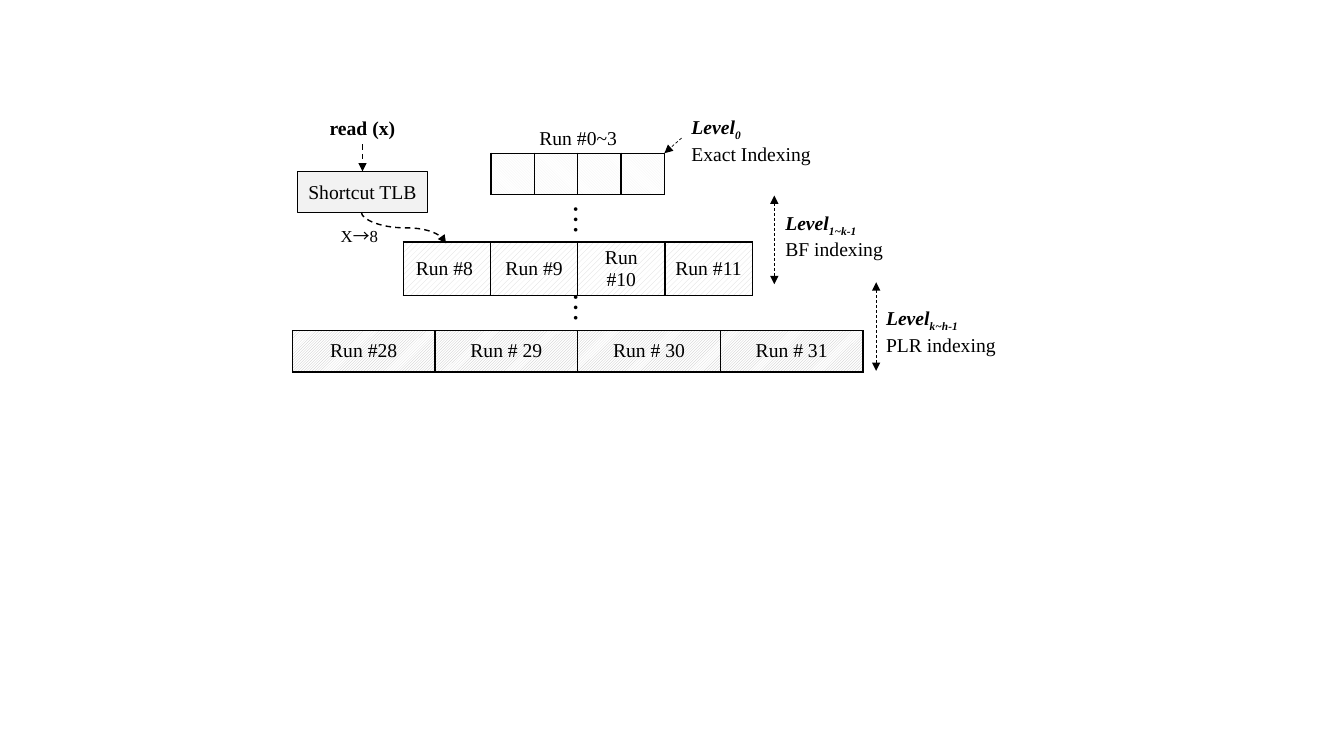
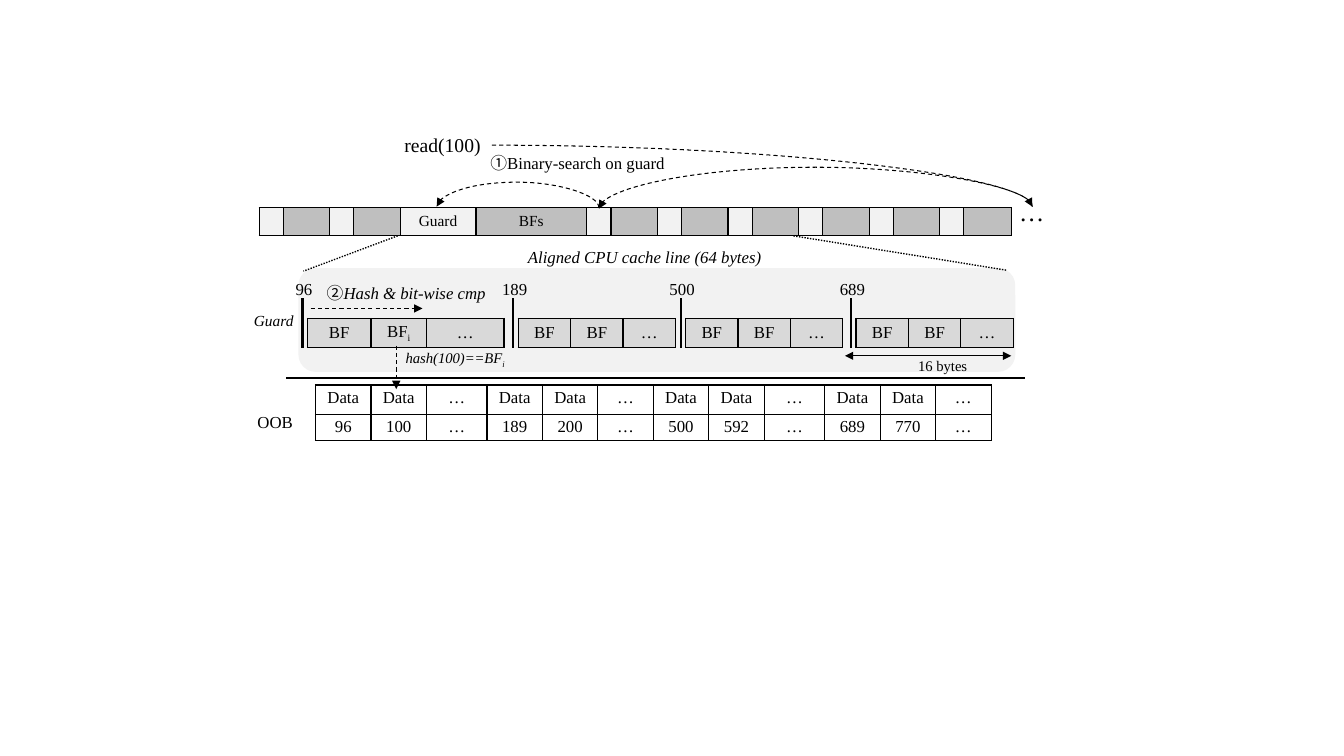
from lxml.etree import SubElement
from pptx import Presentation
from pptx.dml.color import RGBColor
from pptx.enum.dml import MSO_LINE, MSO_PATTERN
from pptx.enum.shapes import MSO_CONNECTOR, MSO_SHAPE
from pptx.enum.text import MSO_ANCHOR, MSO_AUTO_SIZE, PP_ALIGN
from pptx.oxml.ns import qn
from pptx.util import Inches, Pt

BLACK = RGBColor(0x00, 0x00, 0x00)
WHITE = RGBColor(0xFF, 0xFF, 0xFF)
PALE = RGBColor(0xF2, 0xF2, 0xF2)
LIGHT = RGBColor(0xD9, 0xD9, 0xD9)
GREY = RGBColor(0xBF, 0xBF, 0xBF)
FONT = "Times New Roman"
SYMBOL_FONT = "Noto Sans CJK KR"
CENTER, LEFT = PP_ALIGN.CENTER, PP_ALIGN.LEFT
DASH, DOT = MSO_LINE.DASH, MSO_LINE.ROUND_DOT


def lengths(*values):
    """Turn numbers of inches into lengths."""
    return [Inches(value) for value in values]


def fill_paragraph(paragraph, pieces, size, align=CENTER):
    """Write (text, flags) pieces; flags: b bold, i italic, s subscript, c symbol font."""
    paragraph.alignment = align
    for text, flags in pieces:
        run = paragraph.add_run()
        run.text = text
        font = run.font
        font.size, font.name, font.color.rgb = Pt(size), FONT, BLACK
        font.bold, font.italic = "b" in flags, "i" in flags
        properties = run._r.get_or_add_rPr()
        if "s" in flags:
            properties.set("baseline", "-25000")
        if "c" in flags:
            font.name = SYMBOL_FONT
            SubElement(properties, qn("a:ea")).set("typeface", SYMBOL_FONT)


def add_label(slide, box, lines, size, align=CENTER, rotation=0):
    """Add unwrapped text, one list of pieces for each line."""
    label = slide.shapes.add_textbox(*lengths(*box))
    label.rotation = rotation
    frame = label.text_frame
    frame.word_wrap = False
    frame.auto_size = MSO_AUTO_SIZE.SHAPE_TO_FIT_TEXT
    for index, pieces in enumerate(lines):
        paragraph = frame.add_paragraph() if index else frame.paragraphs[0]
        fill_paragraph(paragraph, pieces, size, align)


def add_block(slide, kind, box, outlined=False):
    """Add a pale shape, with a black outline if asked."""
    block = slide.shapes.add_shape(kind, *lengths(*box))
    block.shadow.inherit = False
    block.fill.solid()
    block.fill.fore_color.rgb = PALE
    if outlined:
        block.line.color.rgb, block.line.width = BLACK, Pt(1)
    else:
        block.line.fill.background()
    return block


def style_connector(connector, width, dash, head, tail):
    """Give a connector its black line and arrowheads."""
    connector.line.color.rgb, connector.line.width = BLACK, Pt(width)
    if dash:
        connector.line.dash_style = dash
    line = connector.line._get_or_add_ln()
    for tag, wanted in (("a:headEnd", head), ("a:tailEnd", tail)):
        if wanted:
            SubElement(line, qn(tag)).set("type", "triangle")
    SubElement(connector.element.spPr, qn("a:effectLst"))


def add_line(slide, start, end, width=1, dash=None, head=False, tail=False):
    """Add a straight line between two points."""
    connector = slide.shapes.add_connector(
        MSO_CONNECTOR.STRAIGHT, *lengths(*start, *end))
    style_connector(connector, width, dash, head, tail)


def add_curve(slide, box, width, preset="curvedConnector3", rotation=0, flips="", bend=None):
    """Add a dashed curved arrow from its unrotated box, turn, flips and bend."""
    left, top, across, down = box
    connector = slide.shapes.add_connector(
        MSO_CONNECTOR.CURVE, *lengths(left, top, left + across, top + down))
    properties = connector.element.spPr
    frame = properties.find(qn("a:xfrm"))
    frame.set("rot", str(rotation * 60000))
    for axis in flips:
        frame.set("flip" + axis, "1")
    geometry = properties.find(qn("a:prstGeom"))
    geometry.set("prst", preset)
    if bend is not None:
        guide = SubElement(geometry.find(qn("a:avLst")), qn("a:gd"))
        guide.set("name", "adj1")
        guide.set("fmla", f"val {round(bend * 100000)}")
    style_connector(connector, width, DASH, False, True)


def outline_cell(cell):
    """Draw black borders on the four sides of a cell."""
    properties = cell._tc.get_or_add_tcPr()
    for side in "LRTB":
        border = SubElement(properties, qn(f"a:ln{side}"), w=str(Pt(1)))
        color = SubElement(SubElement(border, qn("a:solidFill")), qn("a:srgbClr"))
        color.set("val", str(BLACK))


def add_cells(slide, left, top, widths, heights, rows, fills, size=12, pattern=None,
              anchor=MSO_ANCHOR.MIDDLE, margins=(0.1, 0.03)):
    """Add a bordered table; fills gives one colour for each column."""
    table = slide.shapes.add_table(
        len(rows), len(widths), *lengths(left, top, sum(widths), sum(heights))).table
    table.first_row = table.horz_banding = False
    for column, width in zip(table.columns, widths):
        column.width = Inches(width)
    for row, height, texts in zip(table.rows, heights, rows):
        row.height = Inches(height)
        for cell, pieces, color in zip(row.cells, texts, fills):
            side, edge = lengths(*margins)
            cell.margin_left = cell.margin_right = side
            cell.margin_top = cell.margin_bottom = edge
            cell.vertical_anchor = anchor
            outline_cell(cell)
            if pattern:
                cell.fill.patterned()
                cell.fill.pattern = pattern
                cell.fill.fore_color.rgb, cell.fill.back_color.rgb = color, WHITE
            else:
                cell.fill.solid()
                cell.fill.fore_color.rgb = color
            paragraph = cell.text_frame.paragraphs[0]
            fill_paragraph(paragraph, pieces, size)
            if not pieces:
                paragraph._p.get_or_add_endParaRPr().set("sz", str(size * 100))


def plain(*texts):
    """Make cell contents without special formatting."""
    return [[(text, "")] if text else [] for text in texts]


def draw_run_levels(slide, left, top):
    """Draw three widening rows of runs, with dots between them."""
    center = left + 2.83
    levels = [
        (0, 0.43, ("",) * 4, PALE, MSO_PATTERN.LIGHT_DOWNWARD_DIAGONAL),
        (0.88, 0.865, ("Run #8 ", "Run #9", "Run #10", "Run #11"), LIGHT,
         MSO_PATTERN.WIDE_UPWARD_DIAGONAL),
        (1.76, 1.415, ("Run #28", "Run # 29", "Run # 30", "Run # 31"), GREY,
         MSO_PATTERN.DARK_UPWARD_DIAGONAL),
    ]
    for offset, width, names, color, pattern in levels:
        add_cells(slide, center - 2 * width, top + offset, [width] * 4, [0.41],
                  [plain(*names)], [color] * 4, 14, pattern, margins=(0.1, 0.05))
    for offset in (0.43, 1.3):
        add_label(slide, (left + 2.66, top + offset, 0.51, 0.47), plain("…"), 22, LEFT, 90)
    add_label(slide, (left + 2.33, top - 0.32, 1.01, 0.34), plain("Run #0~3"), 14)


def draw_level_notes(slide, left, top):
    """Name the index of each level and mark the levels it spans."""
    notes = [(0, 0, 1.4, "0", "Exact Indexing"), (0.93, 0.95, 1.18, "1~k-1", "BF indexing"),
             (1.93, 1.9, 1.3, "k~h-1", "PLR indexing")]
    for across, down, width, levels, index in notes:
        add_label(slide, (left + across, top + down, width, 0.57),
                  [[("Level", "bi"), (levels, "bis")], [(index, "")]], 14, LEFT)
    add_line(slide, (left, top + 0.28), (left - 0.17, top + 0.43), 0.5, DASH, tail=True)
    for across, down in ((0.92, 0.85), (1.93, 1.71)):
        x, y = left + across, top + down
        add_line(slide, (x, y), (x, y + 0.88), 0.5, DASH, head=True, tail=True)


def draw_shortcut(slide, left, top):
    """Draw a read that goes through the shortcut TLB to a run."""
    width, height = 1.29, 0.41
    middle = left + width / 2
    block = add_block(slide, MSO_SHAPE.RECTANGLE, (left, top + 0.6, width, height), True)
    block.text_frame.word_wrap = False
    block.text_frame.vertical_anchor = MSO_ANCHOR.MIDDLE
    fill_paragraph(block.text_frame.paragraphs[0], [("Shortcut TLB", "")], 14)
    add_label(slide, (left, top, width, 0.34), [[("read (x)", "b")]], 14)
    add_line(slide, (middle, top + 0.33), (middle, top + 0.6), 1, DASH, tail=True)
    add_curve(slide, (left + 0.9, top + 0.74, 0.31, 0.84), 1, rotation=270, flips="H", bend=0.5)
    add_label(slide, (left + 0.33, top + 1.09, 0.58, 0.3),
              [[("X", ""), ("→", "c"), ("8", "")]], 12, LEFT)


def draw_guard_strip(slide, left, top):
    """Draw the strip of guards and Bloom filters, the third pair wide."""
    x = left
    for index in range(9):
        wide = index == 2
        widths = (0.75, 1.1) if wide else (0.23, 0.47)
        names = ("Guard", "BFs") if wide else ("", "")
        add_cells(slide, x, top, widths, [0.28], [plain(*names)], (PALE, GREY), 11)
        x += sum(widths)
    add_label(slide, (left + 7.44, top - 0.16, 0.45, 0.4), plain("…"), 18, LEFT)


def draw_search(slide, left, top):
    """Draw the read and the jumps of its binary search."""
    add_label(slide, (left, top, 0.96, 0.34), plain("read(100)"), 14)
    add_label(slide, (left + 0.82, top + 0.2, 2, 0.3),
              [[("①", "c"), ("Binary-search on guard", "")]], 12)
    add_curve(slide, (left + 4.17, top - 1.36, 0.02, 4.3), 0.75,
              rotation=270, flips="HV", bend=-19.5)
    add_curve(slide, (left + 0.97, top + 0.17, 5.36, 0.61), 0.75, "curvedConnector2")
    add_curve(slide, (left + 1.22, top - 0.02, 0.01, 1.61), 0.75,
              rotation=270, flips="V", bend=25.66)


def draw_cache_line(slide, left, top):
    """Draw the enlarged cache line with its four guarded groups."""
    add_block(slide, MSO_SHAPE.ROUNDED_RECTANGLE, (left, top, 7.11, 1.03))
    add_label(slide, (left + 2.16, top - 0.26, 2.55, 0.3),
              [[("Aligned CPU cache line (64 bytes)", "i")]], 12)
    groups = [(0.04, "96", (0.63, 0.55, 0.77)), (2.13, "189", (0.52,) * 3),
              (3.79, "500", (0.52,) * 3), (5.48, "689", (0.52,) * 3)]
    for offset, guard, widths in groups:
        x = left + offset
        filters = plain("BF", "BF", "…")
        if guard == "96":
            filters[1].append(("i", "s"))
        add_cells(slide, x + 0.05, top + 0.5, widths, [0.29], [filters], [LIGHT] * 3)
        add_line(slide, (x, top + 0.3), (x, top + 0.79), 1.5)
        add_label(slide, (x - 0.21, top + 0.06, 0.45, 0.3), plain(guard), 12)
    add_label(slide, (left - 0.55, top + 0.38, 0.61, 0.29), [[("Guard", "i")]], 11)
    add_label(slide, (left + 0.17, top + 0.1, 1.8, 0.3),
              [[("②", "c"), ("Hash & bit-wise cmp", "i")]], 12)
    add_line(slide, (left + 0.12, top + 0.4), (left + 1.23, top + 0.4), 0.75, DASH, tail=True)
    add_line(slide, (left + 5.42, top + 0.87), (left + 7.07, top + 0.87), 0.5,
             head=True, tail=True)
    add_label(slide, (left + 6.04, top + 0.83, 0.7, 0.28), plain("16 bytes"), 10.5)
    add_line(slide, (left + 4.91, top - 0.32), (left + 7.02, top + 0.02), 1, DOT)
    add_line(slide, (left + 1.01, top - 0.33), (left + 0.05, top + 0.03), 1, DOT)


def draw_out_of_band(slide, left, top):
    """Draw the OOB table below its rule, and the hash match that leads to it."""
    add_line(slide, (left - 0.29, top - 0.07), (left + 7.04, top - 0.07), 1.5)
    widths = [0.6 if index in (2, 8) else 0.55 for index in range(12)]
    keys = ("96", "100", "…", "189", "200", "…", "500", "592", "…", "689", "770", "…")
    add_cells(slide, left, top, widths, (0.29, 0.19),
              [plain(*("Data", "Data", "…") * 4), plain(*keys)],
              [WHITE] * 12, anchor=MSO_ANCHOR.TOP, margins=(0.11, 0.03))
    add_label(slide, (left - 0.68, top + 0.22, 0.56, 0.3), plain("OOB"), 12)
    add_line(slide, (left + 0.8, top - 0.39), (left + 0.8, top + 0.04), 0.75, DASH, tail=True)
    add_label(slide, (left + 0.78, top - 0.41, 1.21, 0.28),
              [[("hash(100)==BF", "i"), ("i", "is")]], 10.5)


def build_levels_slide(slide):
    """Build the slide on indexing by level."""
    draw_run_levels(slide, 2.9, 1.52)
    draw_shortcut(slide, 2.95, 1.1)
    draw_level_notes(slide, 6.76, 1.09)


def build_lookup_slide(slide):
    """Build the slide on looking up a key."""
    draw_cache_line(slide, 2.96, 2.66)
    draw_out_of_band(slide, 3.13, 3.82)
    draw_guard_strip(slide, 2.57, 2.06)
    draw_search(slide, 3.91, 1.27)


presentation = Presentation()
presentation.slide_width, presentation.slide_height = lengths(13.33, 7.5)
for build in (build_levels_slide, build_lookup_slide):
    build(presentation.slides.add_slide(presentation.slide_layouts[6]))
presentation.save("out.pptx")
